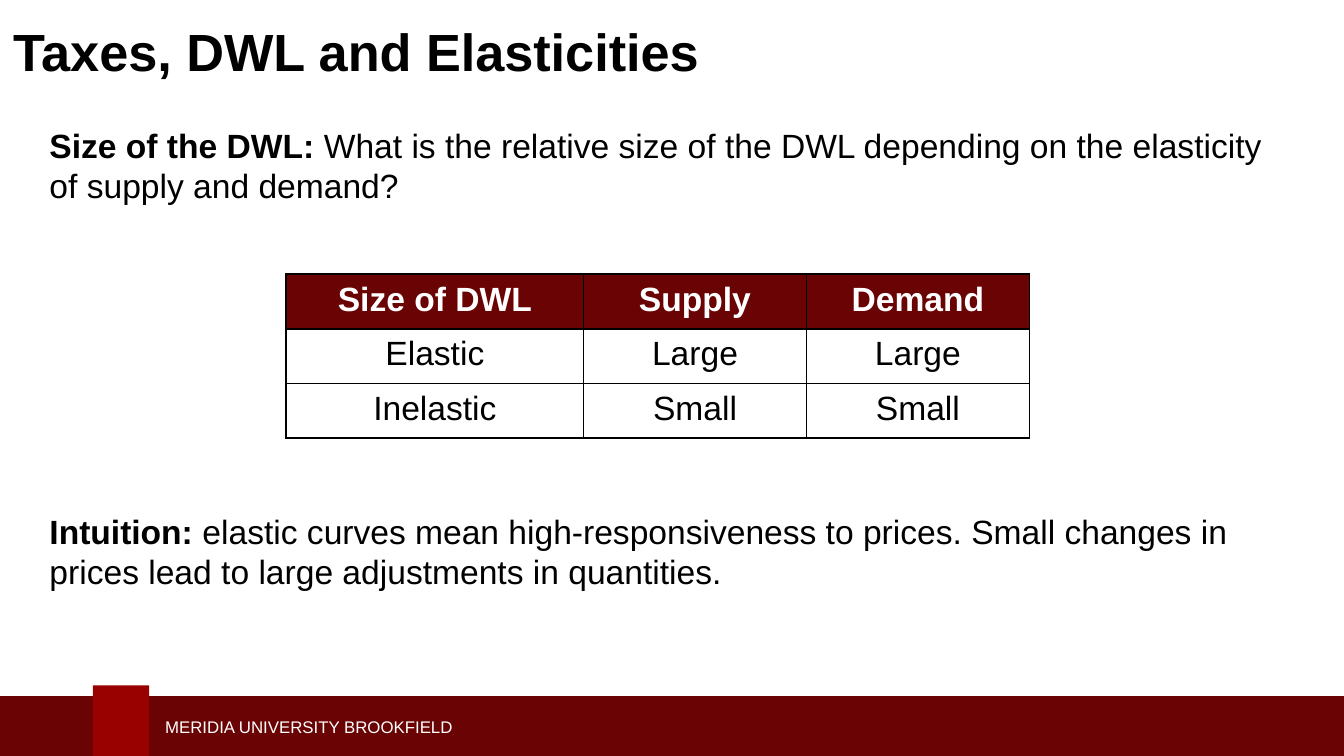
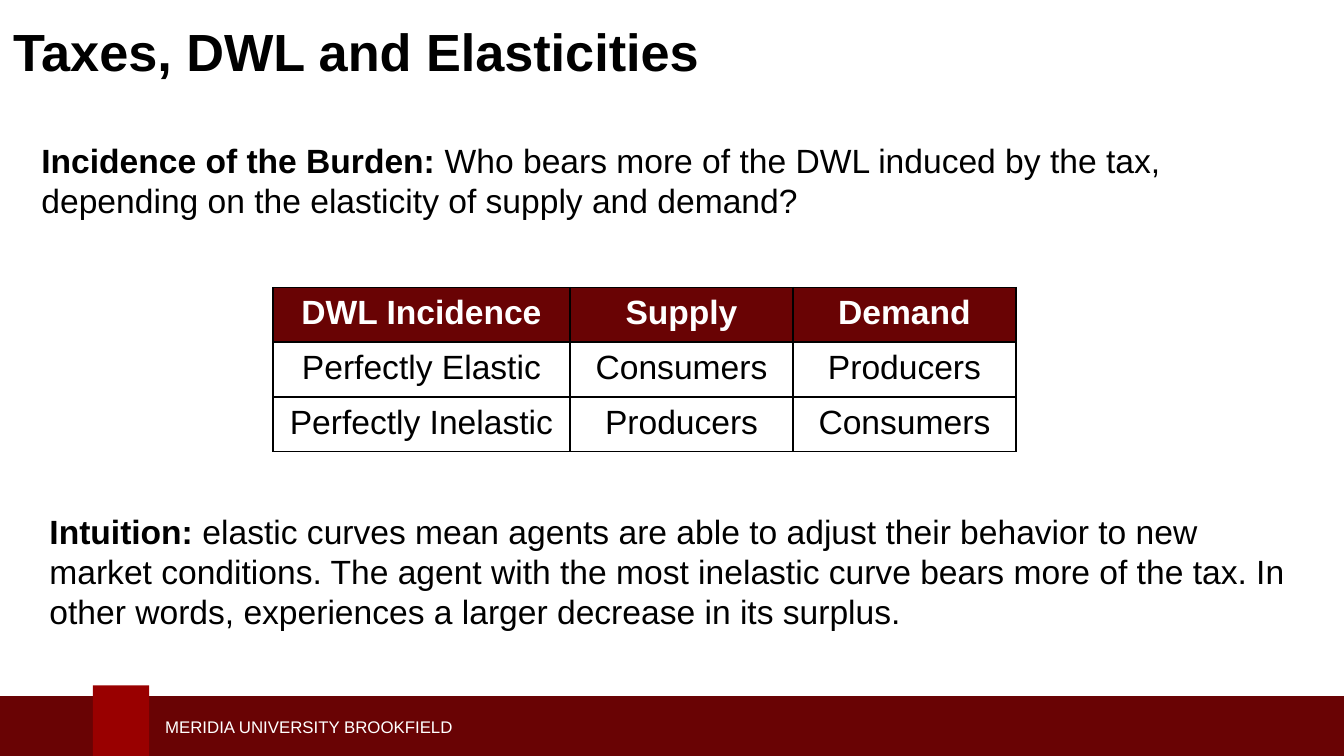
"""Build two slides on taxes, deadweight loss and elasticities."""
from lxml.etree import SubElement
from pptx import Presentation
from pptx.dml.color import RGBColor
from pptx.enum.shapes import MSO_SHAPE as SHAPE
from pptx.enum.text import MSO_ANCHOR as ANCHOR, PP_ALIGN as ALIGN
from pptx.oxml.ns import qn
from pptx.util import Inches, Pt

FONT = "Arial"
COLORS = {"band": "690304", "tab": "990000", "ink": "000000", "paper": "FFFFFF"}
TITLE = "Taxes, DWL and Elasticities"
FOOTER = "MERIDIA UNIVERSITY BROOKFIELD"
FOOTER_BLOCKS = [((-0.03, 5.18, 10.09, 0.5), "band"), ((0.69, 5.1, 0.42, 0.58), "tab")]
TABLE_SIZE = (5.53, 1.22)
COLUMN_SHARES = (4, 3, 3)
BODY_SIZE = 18

SLIDES = [
    {
        "question": ("Size of the DWL: ",
                     "What is the relative size of the DWL depending on the elasticity "
                     "of supply and demand?"),
        "question_at": (0.27, 0.88, 9.46, 1.45),
        "table": [("Size of DWL", "Supply", "Demand"),
                  ("Elastic", "Large", "Large"),
                  ("Inelastic", "Small", "Small")],
        "table_at": (2.13, 2.04),
        "intuition": ("Intuition: ",
                      "elastic curves mean high-responsiveness to prices. Small changes in "
                      "prices lead to large adjustments in quantities."),
        "intuition_at": (0.27, 3.75, 9.46, 0.76),
    },
    {
        "question": ("Incidence of the Burden: ",
                     "Who bears more of the DWL induced by the tax, depending on the "
                     "elasticity of supply and demand?"),
        "question_at": (0.21, 0.99, 9.58, 0.76),
        "table": [("DWL Incidence", "Supply", "Demand"),
                  ("Perfectly Elastic", "Consumers", "Producers"),
                  ("Perfectly Inelastic", "Producers", "Consumers")],
        "table_at": (2.03, 2.14),
        "intuition": ("Intuition: ",
                      "elastic curves mean agents are able to adjust their behavior to new "
                      "market conditions. The agent with the most inelastic curve bears more "
                      "of the tax. In other words, experiences a larger decrease in its surplus."),
        "intuition_at": (0.27, 3.75, 9.46, 1.22),
    },
]


def rgb(name):
    return RGBColor.from_string(COLORS[name])


def style(span, size, color="ink", bold=False):
    span.font.name = FONT
    span.font.size = Pt(size)
    span.font.bold = bold
    span.font.color.rgb = rgb(color)


def add_text(page, at, spans, size, color="ink", anchor=ANCHOR.TOP, space_after=0):
    frame = page.shapes.add_textbox(*map(Inches, at)).text_frame
    frame.word_wrap = True
    frame.vertical_anchor = anchor
    para = frame.paragraphs[0]
    para.space_after = Pt(space_after)
    for text, bold in spans:
        span = para.add_run()
        span.text = text
        style(span, size, color, bold)


def add_statement(page, at, statement):
    lead, rest = statement
    add_text(page, at, [(lead, True), (rest, False)], BODY_SIZE, space_after=6)


def add_frame(page):
    for at, color in FOOTER_BLOCKS:
        block = page.shapes.add_shape(SHAPE.RECTANGLE, *map(Inches, at))
        block.shadow.inherit = False
        block.fill.solid()
        block.fill.fore_color.rgb = rgb(color)
        block.line.fill.background()
    add_text(page, (1.13, 5.28, 3.95, 0.25), [(FOOTER, False)], 9, "paper", ANCHOR.MIDDLE)
    add_text(page, (0, 0, 10, 0.76), [(TITLE, True)], 28, anchor=ANCHOR.MIDDLE)


def add_borders(cell):
    properties = cell._tc.get_or_add_tcPr()
    for side in ("a:lnL", "a:lnR", "a:lnT", "a:lnB"):
        line = SubElement(properties, qn(side), w=str(Pt(1)))
        fill = SubElement(line, qn("a:solidFill"))
        SubElement(fill, qn("a:srgbClr"), val=COLORS["ink"])


def add_grid(page, at, rows):
    width, height = map(Inches, TABLE_SIZE)
    left, top = map(Inches, at)
    table = page.shapes.add_table(len(rows), len(COLUMN_SHARES), left, top, width, height).table
    table.horz_banding = False
    for column, share in zip(table.columns, COLUMN_SHARES):
        column.width = width * share // sum(COLUMN_SHARES)
    for r, row in enumerate(rows):
        table.rows[r].height = height // len(rows)
        header = r == 0
        for c, text in enumerate(row):
            cell = table.cell(r, c)
            add_borders(cell)
            if header:
                cell.fill.solid()
                cell.fill.fore_color.rgb = rgb("band")
            else:
                cell.fill.background()
            para = cell.text_frame.paragraphs[0]
            para.text = text
            para.alignment = ALIGN.CENTER
            style(para.runs[0], BODY_SIZE, "paper" if header else "ink", header)


def main():
    deck = Presentation()
    deck.slide_width = Inches(10)
    deck.slide_height = deck.slide_width * 9 // 16
    for content in SLIDES:
        page = deck.slides.add_slide(deck.slide_layouts[6])
        add_frame(page)
        add_grid(page, content["table_at"], content["table"])
        for part in ("question", "intuition"):
            add_statement(page, content[part + "_at"], content[part])
    deck.save("out.pptx")


if __name__ == "__main__":
    main()
